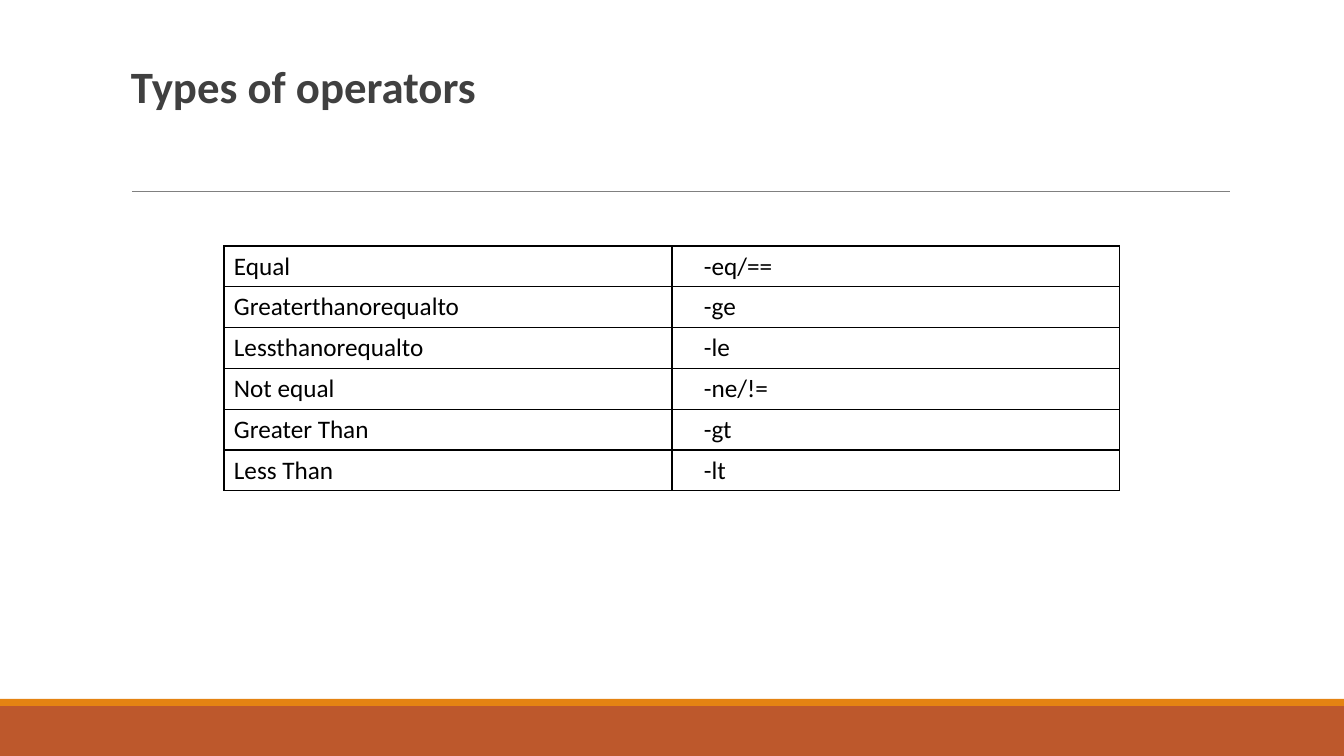
from pptx import Presentation
from pptx.dml.color import RGBColor
from pptx.enum.shapes import MSO_CONNECTOR as Conn, MSO_SHAPE as Shape
from pptx.oxml import parse_xml
from pptx.oxml.ns import nsdecls
from pptx.util import Pt

PX = 12192000 / 1344


def px(*nums):
    return [round(n * PX) for n in nums]


def write(frame, text, size=18, color="000000", bold=False):
    para = frame.paragraphs[0]
    run = para.add_run()
    run.text = text
    font = run.font
    font.name, font.size, font.bold = "Calibri", Pt(size), bold
    font.color.rgb = RGBColor.from_string(color)
    return para


deck = Presentation()
deck.slide_width, deck.slide_height = px(1344, 756)
slide = deck.slides.add_slide(deck.slide_layouts[6])
shapes = slide.shapes

# Footer bands
for top, high, color in [(706, 50, "BD582C"), (699, 7, "E48312")]:
    band = shapes.add_shape(Shape.RECTANGLE, *px(0, top, 1344, high))
    band.shadow.inherit = False
    band.fill.solid()
    band.fill.fore_color.rgb = RGBColor.from_string(color)
    band.line.fill.background()

# Rule under the title
rule = shapes.add_connector(Conn.STRAIGHT, *px(132, 191, 1230, 191))
rule.line.color.rgb = RGBColor.from_string("808080")
rule.line.width = Pt(0.5)
rule._element.spPr.append(parse_xml(f"<a:effectLst {nsdecls('a')}/>"))

# Title
title = shapes.add_textbox(*px(121, 60, 1109, 587)).text_frame
title.word_wrap = True
title.margin_left, title.margin_right = px(10, 0)
title.margin_top, title.margin_bottom = px(5, 5)
para = write(title, "Types of operators", size=32, color="404040", bold=True)
para.line_spacing = 0.9
para.space_before, para.space_after = Pt(12), Pt(2)

# Operator table
rows = [
    ("Equal", "-eq/=="),
    ("Greaterthanorequalto", "-ge"),
    ("Lessthanorequalto", "-le"),
    ("Not equal", "-ne/!="),
    ("Greater Than", "-gt"),
    ("Less Than", "-lt"),
]
insets = px(10, 32)
table = shapes.add_table(len(rows), 2, *px(224, 246, 896, 245)).table
table.first_row = table.horz_banding = False
for r, row in enumerate(rows):
    for c, text in enumerate(row):
        cell = table.cell(r, c)
        cell.margin_left = insets[c]
        write(cell.text_frame, text)
        props = cell._tc.get_or_add_tcPr()
        for side in ("lnL", "lnR", "lnT", "lnB"):
            props.append(parse_xml(
                f'<a:{side} {nsdecls("a")} w="{Pt(1)}"><a:solidFill>'
                f'<a:srgbClr val="000000"/></a:solidFill></a:{side}>'))
        cell.fill.background()

deck.save("out.pptx")
